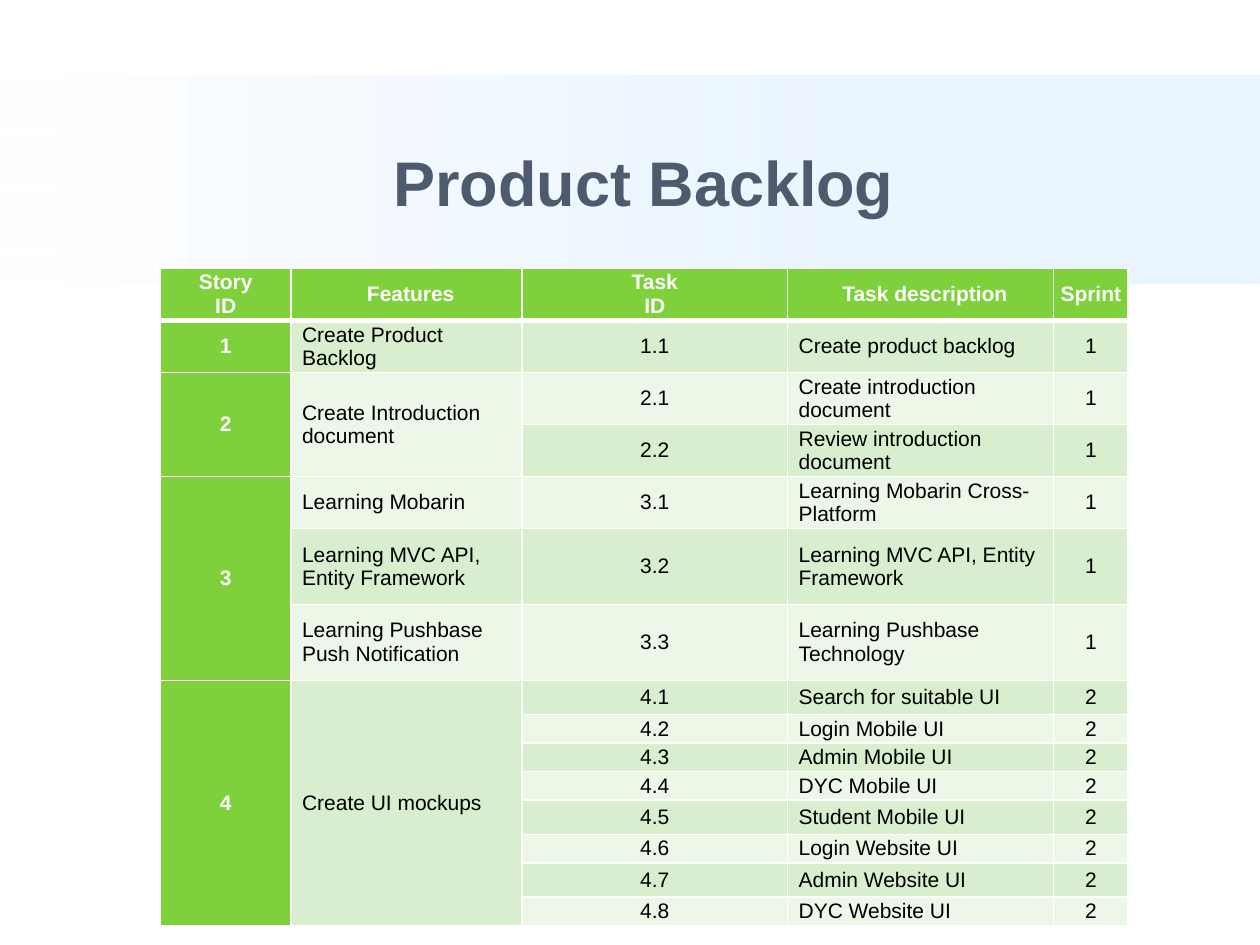
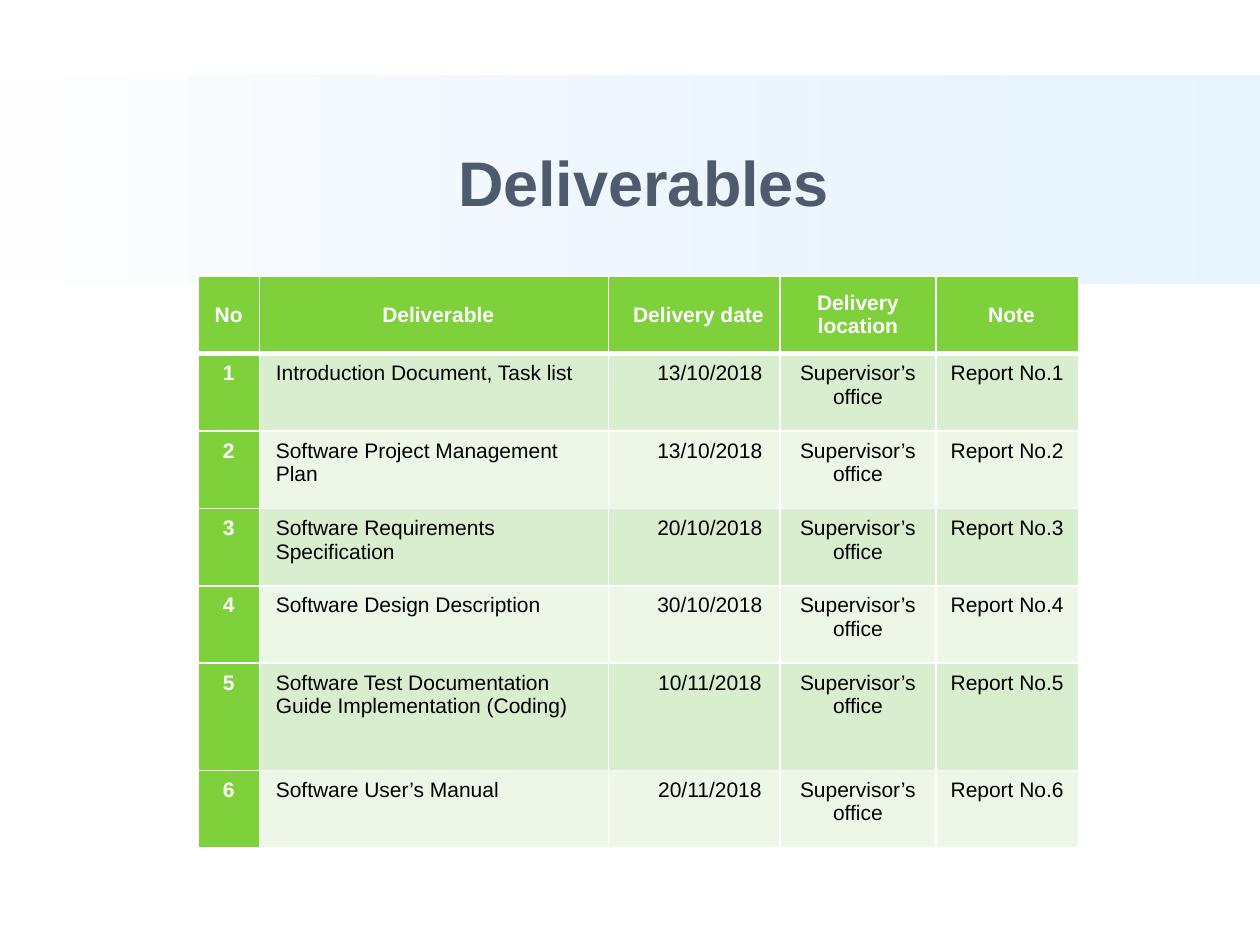
from dataclasses import dataclass

from lxml import etree
from pptx import Presentation
from pptx.dml.color import RGBColor
from pptx.enum.shapes import MSO_SHAPE
from pptx.enum.text import MSO_ANCHOR, PP_ALIGN
from pptx.oxml.ns import qn
from pptx.util import Cm, Pt

RECTANGLE = MSO_SHAPE.RECTANGLE
LEFT, CENTER = PP_ALIGN.LEFT, PP_ALIGN.CENTER
TOP, MIDDLE = MSO_ANCHOR.TOP, MSO_ANCHOR.MIDDLE


@dataclass(frozen=True)
class Theme:
    font: str = "Arial"
    title_size: int = 36
    table_size: int = 12
    title: str = "4E5B6F"
    white: str = "FFFFFF"
    black: str = "000000"
    sky: str = "D6ECFF"
    sky_opacity: int = 53
    green: str = "7FD13B"
    stripes: tuple = ("D8EECE", "ECF7E8")
    rule: int = 1
    header_rule: int = 3


THEME = Theme()
SLIDE_SIZE = (25.4, 19.05)
BAND_BOX = (0, 1.52, 25.4, 4.19)
TITLE_BOX = (2.18, 2.11, 21.59, 3.07)
INDENT = 0.17

BACKLOG = {
    "title": "Product Backlog",
    "corner": (3.23, 5.41),
    "columns": (2.64, 4.65, 5.36, 5.36, 1.5),
    "heights": (*[1.03] * 5, 1.53, 1.53, 0.69, 0.56, 0.56, 0.56, 0.69, 0.56, 0.69, 0.56),
    "header": ("Story\nID", "Features", "Task\nID", "Task description", "Sprint"),
    "rows": [
        ("1", "Create Product Backlog", "1.1", "Create product backlog", "1"),
        ("2", "Create Introduction document", "2.1", "Create introduction document", "1"),
        ("", "", "2.2", "Review introduction document", "1"),
        ("3", "Learning Mobarin", "3.1", "Learning Mobarin Cross-Platform", "1"),
        ("", "Learning MVC API, Entity Framework", "3.2", "Learning MVC API, Entity Framework", "1"),
        ("", "Learning Pushbase Push Notification", "3.3", "Learning Pushbase Technology", "1"),
        ("4", "Create UI mockups", "4.1", "Search for suitable UI", "2"),
        ("", "", "4.2", "Login Mobile UI", "2"),
        ("", "", "4.3", "Admin Mobile UI", "2"),
        ("", "", "4.4", "DYC Mobile UI", "2"),
        ("", "", "4.5", "Student Mobile UI", "2"),
        ("", "", "4.6", "Login Website UI", "2"),
        ("", "", "4.7", "Admin Website UI", "2"),
        ("", "", "4.8", "DYC Website UI", "2"),
    ],
    "inset": 0.05,
    "left_insets": {},
    "spacing": 0,
    "body_anchor": MIDDLE,
    "indented_headers": (1, 3),
    "left_columns": (1, 3),
}

OFFICE = "Supervisor’s office"
DELIVERIES = [
    ("Introduction Document, Task list", "13/10/2018"),
    ("Software Project Management Plan", "13/10/2018"),
    ("Software Requirements Specification", "20/10/2018"),
    ("Software Design Description", "30/10/2018"),
    ("Software Test Documentation Guide Implementation (Coding)", "10/11/2018"),
    ("Software User’s Manual", "20/11/2018"),
]
DELIVERABLES = {
    "title": "Deliverables",
    "corner": (3.99, 5.56),
    "columns": (1.24, 7.04, 3.45, 3.15, 2.87),
    "heights": (1.57, *[1.56] * 4, 2.16, 1.56),
    "header": ("No", "Deliverable", "Delivery date", "Delivery location", "Note"),
    "rows": [
        (str(number), document, date, OFFICE, f"Report No.{number}")
        for number, (document, date) in enumerate(DELIVERIES, 1)
    ],
    "inset": 0.16,
    "left_insets": {2: 0.79},
    "spacing": 4,
    "body_anchor": TOP,
    "indented_headers": (1, 2, 4),
    "left_columns": (1,),
}


def rgb(code):
    return RGBColor.from_string(code)


def style_runs(paragraph, size, color, bold):
    for run in paragraph.runs:
        run.font.name = THEME.font
        run.font.size = Pt(size)
        run.font.bold = bold
        run.font.color.rgb = rgb(color)


def move_band_to_layout(slide, layout):
    band = slide.shapes.add_shape(RECTANGLE, *map(Cm, BAND_BOX))
    band.shadow.inherit = False
    band.line.fill.background()
    band.fill.gradient()
    band.fill.gradient_angle = 0
    for stop, color in zip(band.fill.gradient_stops, (THEME.white, THEME.sky)):
        stop.color.rgb = rgb(color)
    sky = list(band.element.iter(qn("a:srgbClr")))[1]
    etree.SubElement(sky, qn("a:alpha"), val=str(THEME.sky_opacity * 1000))
    layout.shapes.element.insert(2, band.element)


def add_title(slide, words):
    heading = slide.shapes.title
    heading.left, heading.top, heading.width, heading.height = map(Cm, TITLE_BOX)
    heading.text_frame.text = words
    heading.text_frame.vertical_anchor = MIDDLE
    paragraph = heading.text_frame.paragraphs[0]
    paragraph.alignment = CENTER
    style_runs(paragraph, THEME.title_size, THEME.title, True)


def rule_cell(cell, row):
    widths = {
        "lnL": THEME.rule,
        "lnR": THEME.rule,
        "lnT": THEME.header_rule if row == 1 else THEME.rule,
        "lnB": THEME.header_rule if row == 0 else THEME.rule,
    }
    properties = cell._tc.get_or_add_tcPr()
    for position, (side, width) in enumerate(widths.items()):
        line = etree.Element(qn(f"a:{side}"), w=str(Pt(width)))
        paint = etree.SubElement(line, qn("a:solidFill"))
        etree.SubElement(paint, qn("a:srgbClr"), val=THEME.white)
        properties.insert(position, line)


def fill_cell(cell, words, row, column, content):
    is_header = row == 0
    is_green = is_header or column == 0
    is_left = not is_header and column in content["left_columns"]
    is_indented = is_left or (is_header and column in content["indented_headers"])
    inset = Cm(content["inset"])

    cell.fill.solid()
    cell.fill.fore_color.rgb = rgb(THEME.green if is_green else THEME.stripes[(row - 1) % 2])
    cell.vertical_anchor = MIDDLE if is_header else content["body_anchor"]
    cell.margin_left = cell.margin_right = cell.margin_top = cell.margin_bottom = inset
    if not is_header and column in content["left_insets"]:
        cell.margin_left = Cm(content["left_insets"][column])
    rule_cell(cell, row)

    cell.text_frame.text = words
    for paragraph in cell.text_frame.paragraphs:
        paragraph.alignment = LEFT if is_left else CENTER
        paragraph.space_before = paragraph.space_after = Pt(content["spacing"])
        if is_indented:
            paragraph._p.get_or_add_pPr().set("marL", str(Cm(INDENT)))
        style_runs(paragraph, THEME.table_size, THEME.white if is_green else THEME.black, is_green)


def merge_continued(table, rows):
    for column in range(len(rows[0])):
        starts = [row for row, words in enumerate(rows) if words[column]]
        for start, end in zip(starts, starts[1:] + [len(rows)]):
            if end - start > 1:
                table.cell(start, column).merge(table.cell(end - 1, column))


def add_grid(slide, content):
    rows = [content["header"], *content["rows"]]
    columns, heights = content["columns"], content["heights"]
    left, top = content["corner"]
    table = slide.shapes.add_table(
        len(rows), len(columns), Cm(left), Cm(top), Cm(sum(columns)), Cm(sum(heights))
    ).table
    for column, width in zip(table.columns, columns):
        column.width = Cm(width)
    for row, height in zip(table.rows, heights):
        row.height = Cm(height)
    for row, line in enumerate(rows):
        for column, words in enumerate(line):
            fill_cell(table.cell(row, column), words, row, column, content)
    merge_continued(table, rows)


def main():
    deck = Presentation()
    deck.slide_width, deck.slide_height = map(Cm, SLIDE_SIZE)
    layout = deck.slide_layouts[0]
    subtitle = layout.placeholders[1].element
    subtitle.getparent().remove(subtitle)
    for content in (BACKLOG, DELIVERABLES):
        slide = deck.slides.add_slide(layout)
        if content is BACKLOG:
            move_band_to_layout(slide, layout)
        add_title(slide, content["title"])
        add_grid(slide, content)
    deck.save("out.pptx")


if __name__ == "__main__":
    main()
